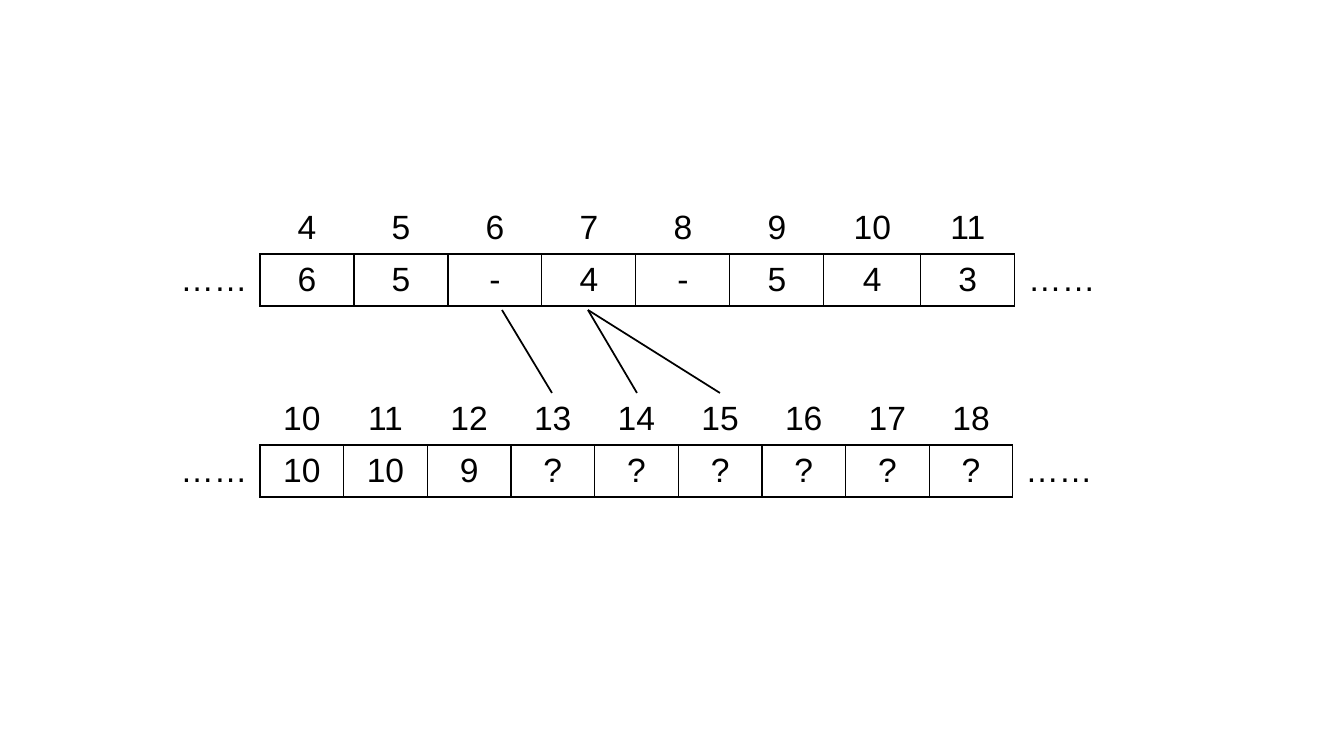
import pptx
import pptx.util
import pptx.dml.color
import pptx.enum.shapes
import pptx.enum.text
import pptx.oxml
import pptx.oxml.ns

BLACK = pptx.dml.color.RGBColor(0, 0, 0)
FONT = "Arial"
DOTS = "……"
NO_STYLE = "{2D5ABB26-0587-4C30-8999-92F81FD0307C}"
PX = 914400 / 100.8

# Content: positions above, stored values below; lengths in px
ARRAYS = [
    dict(left=168, top=202, row=52, side=(92, 94),
         widths=[94] * 6 + [97, 94],
         index=["4", "5", "6", "7", "8", "9", "10", "11"],
         values=["6", "5", "-", "4", "-", "5", "4", "3"]),
    dict(left=168, top=393, row=52, side=(92, 92),
         widths=[753 / 9] * 9,
         index=[str(n) for n in range(10, 19)],
         values=["10", "10", "9"] + ["?"] * 6),
]
LINK_TOP, LINK_BOTTOM = 310, 393
LINKS = [(588, 720), (588, 637), (502, 552)]


def emu(px):
    return pptx.util.Emu(round(px * PX))


def set_borders(cell, sides):
    tcPr = cell._tc.get_or_add_tcPr()
    for side in "LRTB":
        if side in sides:
            fill = f'<a:solidFill><a:srgbClr val="{BLACK}"/></a:solidFill>'
        else:
            fill = "<a:noFill/>"
        tcPr.append(pptx.oxml.parse_xml(
            f'<a:ln{side} {pptx.oxml.ns.nsdecls("a")} w="12700">{fill}</a:ln{side}>'))


def fill_cell(cell, text, sides):
    set_borders(cell, sides)
    cell.fill.background()
    cell.margin_left = cell.margin_right = emu(7)
    cell.margin_top = cell.margin_bottom = 0
    cell.vertical_anchor = pptx.enum.text.MSO_ANCHOR.MIDDLE
    if text:
        p = cell.text_frame.paragraphs[0]
        p.alignment = pptx.enum.text.PP_ALIGN.CENTER
        r = p.add_run()
        r.text = text
        r.font.name = FONT
        r.font.size = pptx.util.Pt(24)
        r.font.color.rgb = BLACK


def add_array(s, array):
    first, last = array["side"]
    widths = [first, *array["widths"], last]
    n = len(array["values"])
    frame = s.shapes.add_table(2, n + 2, emu(array["left"]), emu(array["top"]),
                               emu(sum(widths)), emu(2 * array["row"]))
    table = frame.table
    table.first_row = table.horz_banding = False
    table._tbl.tblPr.find(pptx.oxml.ns.qn("a:tableStyleId")).text = NO_STYLE
    for column, width in zip(table.columns, widths):
        column.width = emu(width)
    for row in table.rows:
        row.height = emu(array["row"])
    rows = [
        (["", *array["index"], ""], ["", *["B"] * n, ""]),
        ([DOTS, *array["values"], DOTS], ["R", *["LRTB"] * n, "L"]),
    ]
    for i, (texts, borders) in enumerate(rows):
        for j, (text, sides) in enumerate(zip(texts, borders)):
            fill_cell(table.cell(i, j), text, sides)


def add_link(s, x1, x2):
    line = s.shapes.add_connector(pptx.enum.shapes.MSO_CONNECTOR.STRAIGHT,
                                  emu(x1), emu(LINK_TOP), emu(x2), emu(LINK_BOTTOM))
    line.line.color.rgb = BLACK
    line.line.width = pptx.util.Pt(1.25)
    line._element.spPr.append(pptx.oxml.parse_xml(
        f'<a:effectLst {pptx.oxml.ns.nsdecls("a")}/>'))


def main():
    prs = pptx.Presentation()
    prs.slide_width, prs.slide_height = emu(1344), emu(756)
    s = prs.slides.add_slide(prs.slide_layouts[6])

    # The two arrays
    for array in ARRAYS:
        add_array(s, array)

    # Links from upper to lower entries
    for x1, x2 in LINKS:
        add_link(s, x1, x2)

    prs.save("out.pptx")


if __name__ == "__main__":
    main()
